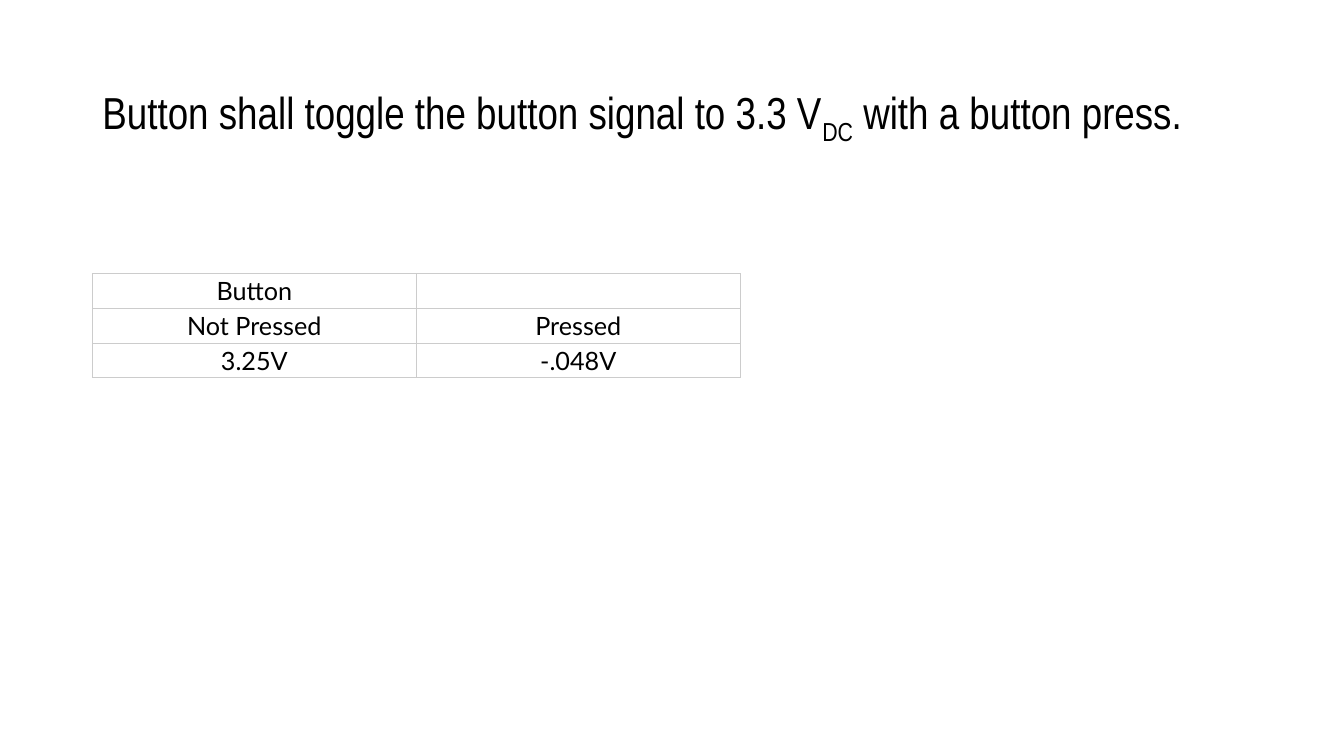
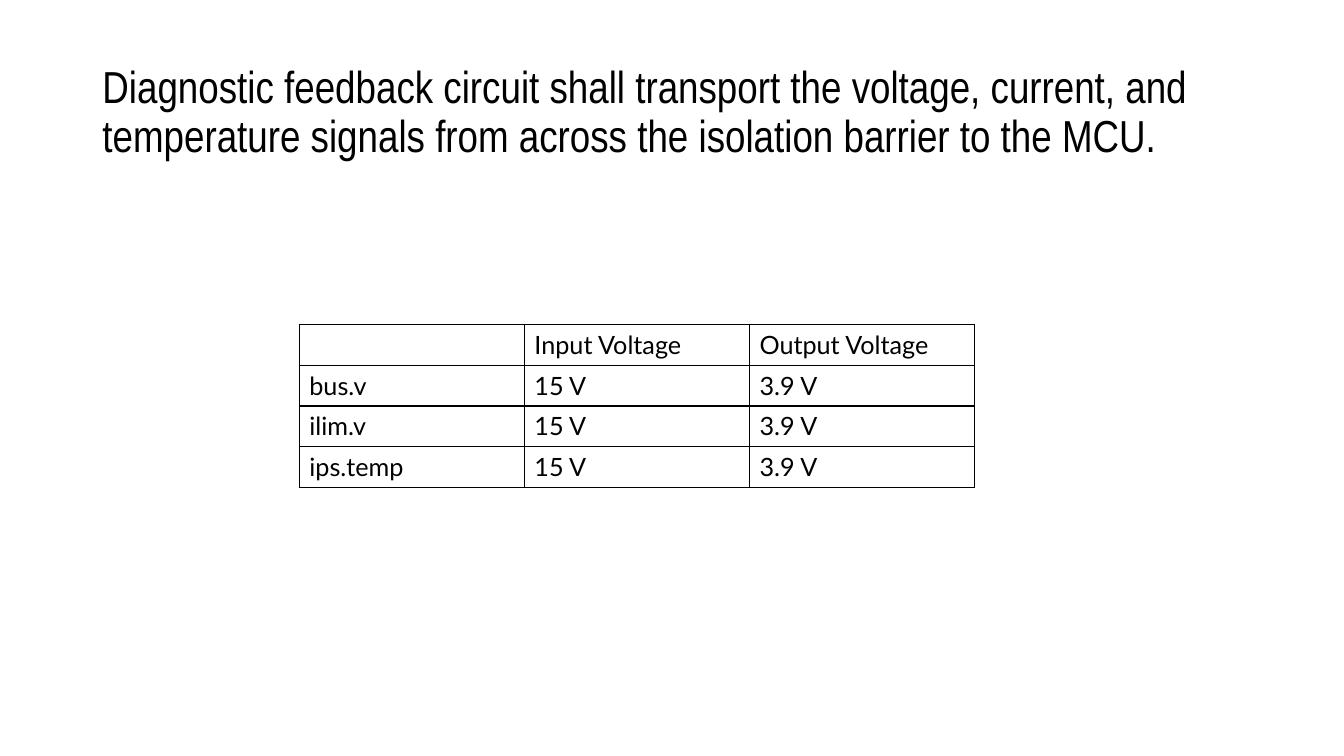
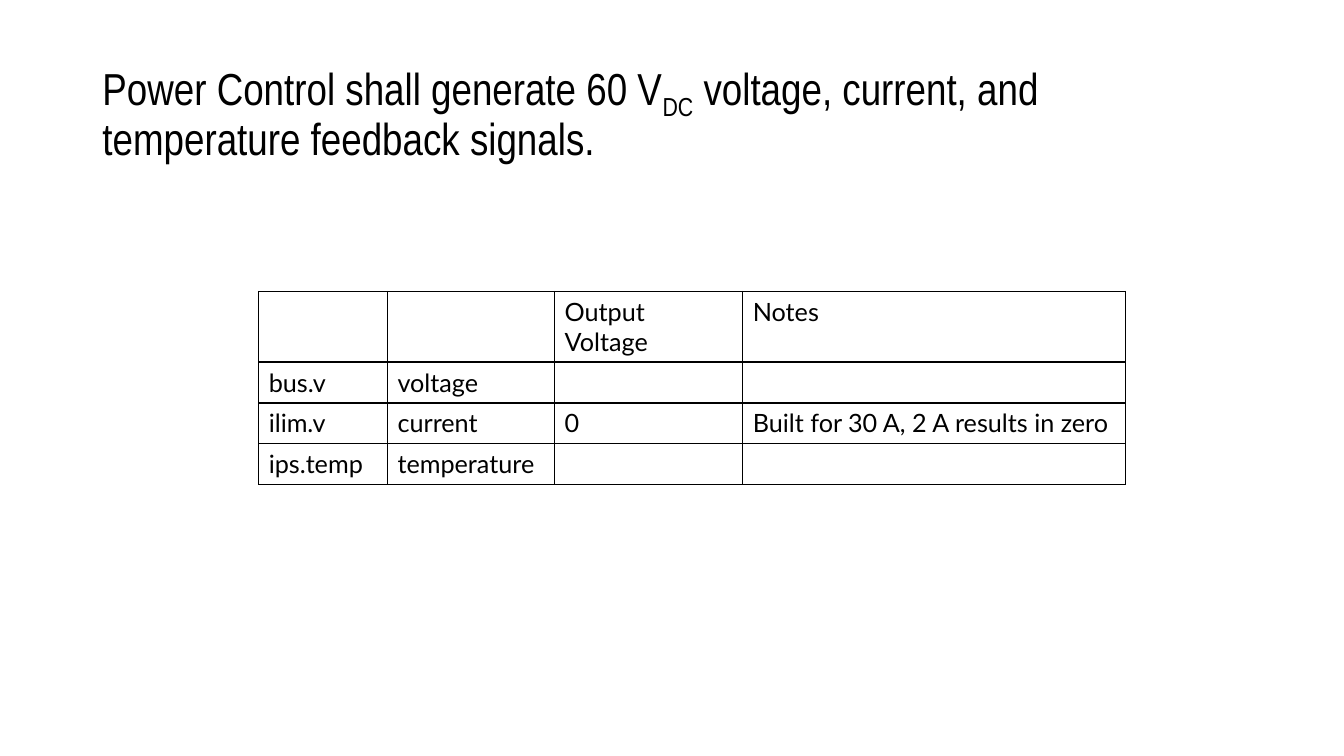
from dataclasses import dataclass

from lxml.etree import SubElement
from pptx import Presentation
from pptx.dml.color import RGBColor
from pptx.enum.text import MSO_ANCHOR, MSO_AUTO_SIZE, PP_ALIGN
from pptx.oxml.ns import qn
from pptx.util import Pt


@dataclass(frozen=True)
class Theme:
    text_color: str = "000000"
    title_font: str = "Arial Narrow"
    title_size: float = 32
    table_font: str = "Lato"
    table_size: float = 18
    title_box: tuple = (66, 28.8, 828, 104.4)
    subscript_shift: str = "-25000"


@dataclass(frozen=True)
class TableStyle:
    border_color: str = "000000"
    border_width: float = 1
    alignment: PP_ALIGN = PP_ALIGN.LEFT
    anchor: MSO_ANCHOR = MSO_ANCHOR.TOP
    side_margin: float = 7.2
    edge_margin: float = 3.6


RULED = TableStyle()
COMPACT = TableStyle("CCCCCC", 0.75, PP_ALIGN.CENTER, MSO_ANCHOR.MIDDLE, 2, 1.5)


class DeckBuilder:
    """Holds the theme, the deck and the current page."""

    def __init__(self, theme):
        self.theme = theme
        self.deck = Presentation()
        self.deck.slide_width, self.deck.slide_height = Pt(960), Pt(540)
        self.page = None

    def add_page(self, *title_parts):
        """Start a page; every second title part is a subscript."""
        self.page = self.deck.slides.add_slide(self.deck.slide_layouts[5])
        box = self.page.shapes.title
        box.left, box.top, box.width, box.height = map(Pt, self.theme.title_box)
        frame = box.text_frame
        frame.word_wrap = True
        frame.auto_size = MSO_AUTO_SIZE.NONE
        frame.vertical_anchor = MSO_ANCHOR.MIDDLE
        para = frame.paragraphs[0]
        para.alignment = PP_ALIGN.LEFT
        para.line_spacing = 0.9
        self.set_font(para, self.theme.title_font, self.theme.title_size)
        for index, text in enumerate(title_parts):
            span = para.add_run()
            span.text = text
            if index % 2:
                span._r.get_or_add_rPr().set("baseline", self.theme.subscript_shift)

    def add_table(self, left, top, widths, heights, rows, style=RULED):
        frame = self.page.shapes.add_table(
            len(rows), len(widths), Pt(left), Pt(top), Pt(sum(widths)), Pt(sum(heights)))
        table = frame.table
        table.first_row = table.horz_banding = False
        for column, width in zip(table.columns, widths):
            column.width = Pt(width)
        for row, height, texts in zip(table.rows, heights, rows):
            row.height = Pt(height)
            for cell, text in zip(row.cells, texts):
                self.fill_cell(cell, text, style)

    def fill_cell(self, cell, text, style):
        cell.margin_left = cell.margin_right = Pt(style.side_margin)
        cell.margin_top = cell.margin_bottom = Pt(style.edge_margin)
        cell.vertical_anchor = style.anchor
        self.set_borders(cell, style)
        cell.fill.background()
        para = cell.text_frame.paragraphs[0]
        para.alignment = style.alignment
        self.set_font(para, self.theme.table_font, self.theme.table_size)
        if text:
            para.add_run().text = text

    def set_font(self, para, name, size):
        para.font.name = name
        para.font.size = Pt(size)
        para.font.color.rgb = RGBColor.from_string(self.theme.text_color)

    @staticmethod
    def set_borders(cell, style):
        properties = cell._tc.get_or_add_tcPr()
        for side in ("lnL", "lnR", "lnT", "lnB"):
            line = SubElement(properties, qn(f"a:{side}"), w=str(Pt(style.border_width)))
            fill = SubElement(line, qn("a:solidFill"))
            SubElement(fill, qn("a:srgbClr"), val=style.border_color)


def main():
    builder = DeckBuilder(Theme())

    # Button signal
    builder.add_page("Button shall toggle the button signal to 3.3 V", "DC",
                     " with a button press.")
    builder.add_table(66, 195.6, [231.4] * 2, [24.7] * 3, [
        ("Button", ""),
        ("Not Pressed", "Pressed"),
        ("3.25V", "-.048V"),
    ], COMPACT)

    # Diagnostic feedback
    builder.add_page("Diagnostic feedback circuit shall transport the voltage, current, and "
                     "temperature signals from across the isolation barrier to the MCU.")
    signals = ("bus.v", "ilim.v", "ips.temp")
    builder.add_table(213.8, 231.6, [160.8] * 3, [29.2] * 4, [
        ("", "Input Voltage", "Output Voltage"),
        *((signal, "15 V", "3.9 V") for signal in signals),
    ])

    # Power control
    builder.add_page("Power Control shall generate 60 V", "DC",
                     " voltage, current, and temperature feedback signals.")
    builder.add_table(184.8, 208.2, [92, 119.4, 134.4, 273.6], [50] + [29.2] * 3, [
        ("", "", "Output Voltage", "Notes"),
        ("bus.v", "voltage", "", ""),
        ("ilim.v", "current", "0", "Built for 30 A, 2 A results in zero"),
        ("ips.temp", "temperature", "", ""),
    ])

    builder.deck.save("out.pptx")


if __name__ == "__main__":
    main()
